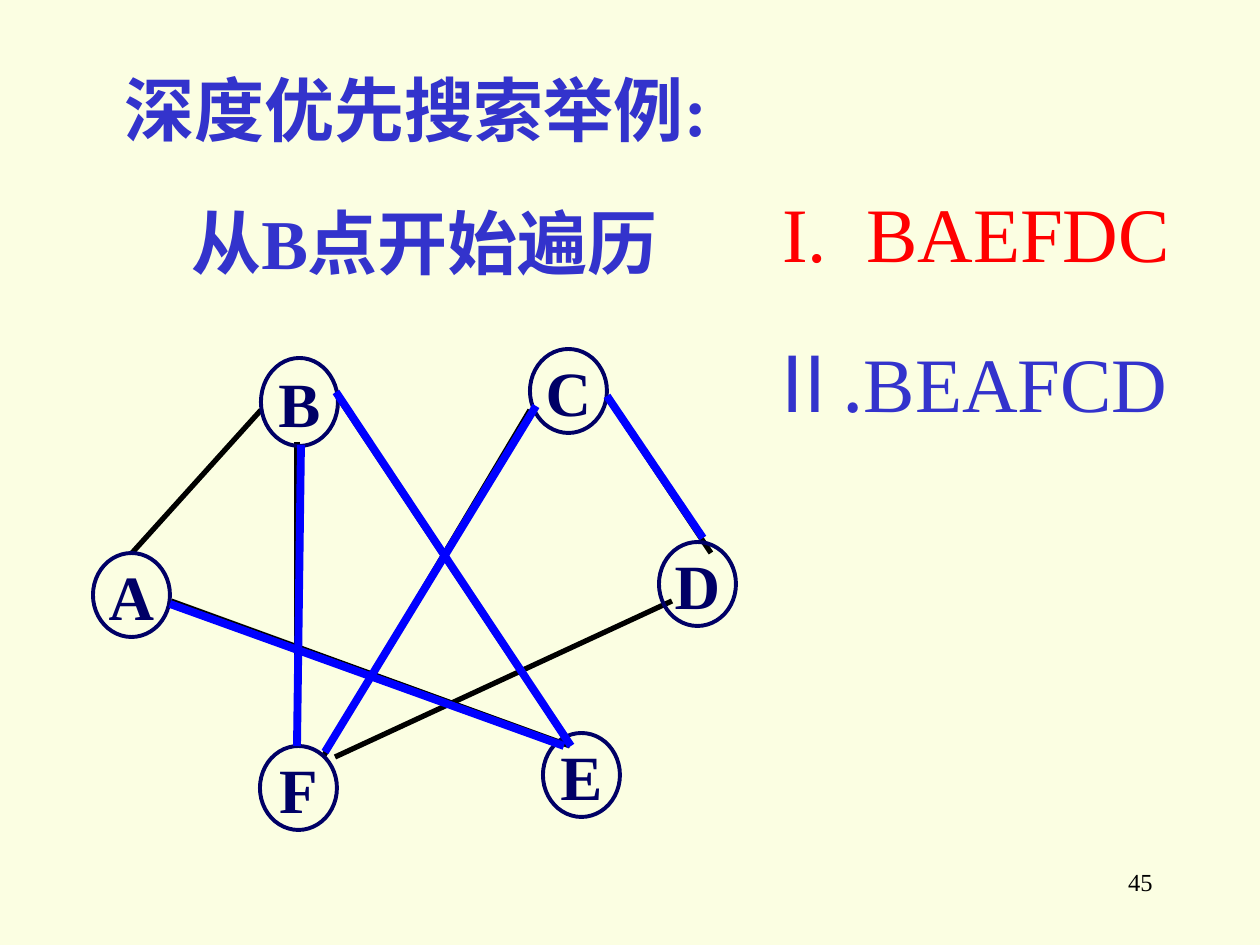
import pptx
import pptx.util
import pptx.dml.color
import pptx.enum.shapes
import pptx.enum.text
import pptx.oxml.ns
from lxml import etree

THEME = {
    "bg": "FBFEE2", "ink": "000000", "heading": "3333CC", "node": "000066",
    "visited": "0000FF", "first": "FF0000",
    "latin": "Times New Roman", "cjk": "Noto Sans CJK SC",
    "title": 40, "node_size": 36, "answer": 44, "number": 14,
    "node_line": 2.25, "edge_line": 3, "visited_line": 4.5,
}
HEADINGS = [
    ("深度优先搜索举例:", (112, 60, 805, 97)),
    ("从B点开始遍历", (179, 193, 805, 97)),
]
FIRST_ORDER = ("BAEFDC", (770, 179, 454, 106))
SECOND_ORDER = (("Ⅱ.", "BEAFCD"), (753, 329, 449, 106))
PAGE_NUMBER = ("45", (903, 861, 262, 63))
NODE_W, NODE_H = 77, 84
NODES = {
    "B": (261, 358, 88), "A": (93, 553, NODE_H), "C": (530, 349, NODE_H),
    "D": (659, 542, NODE_H), "F": (260, 746, NODE_H), "E": (543, 733, NODE_H),
}
EDGES = [
    (297, 442, 297, 746), (261, 410, 132, 553), (338, 397, 570, 746),
    (171, 601, 570, 746), (530, 410, 323, 757), (607, 397, 711, 553),
    (672, 601, 335, 757),
]
VISITED_EDGES = [
    (170, 604, 564, 746), (703, 538, 607, 396), (336, 392, 571, 746),
    (301, 445, 297, 746), (536, 406, 325, 752),
]
ALIGN = pptx.enum.text.PP_ALIGN
qn = pptx.oxml.ns.qn


def px(n):
    return pptx.util.Emu(round(n * 914400 / 126))


def rgb(name):
    return pptx.dml.color.RGBColor.from_string(THEME[name])


def add_run(p, text, size, color, bold=False, font="latin"):
    r = p.add_run()
    r.text = text
    r.font.size = pptx.util.Pt(THEME[size])
    r.font.bold = bold
    r.font.color.rgb = rgb(color)
    r.font.name = THEME[font]
    ea = etree.SubElement(r.font._element, qn("a:ea"))
    ea.set("typeface", THEME["cjk"])


def add_text(slide, box, text, align=ALIGN.LEFT, **fmt):
    sp = slide.shapes.add_textbox(*map(px, box))
    sp.text_frame.word_wrap = True
    p = sp.text_frame.paragraphs[0]
    p.alignment = align
    add_run(p, text, **fmt)
    return p


def number_roman(p, color):
    pPr = p._p.get_or_add_pPr()
    pPr.set("marL", str(px(84)))
    pPr.set("indent", str(-px(84)))
    clr = etree.SubElement(pPr, qn("a:buClr"))
    etree.SubElement(clr, qn("a:srgbClr")).set("val", THEME[color])
    etree.SubElement(pPr, qn("a:buFont")).set("typeface", THEME["latin"])
    etree.SubElement(pPr, qn("a:buAutoNum")).set("type", "romanUcPeriod")


def add_edge(slide, ends, color, width):
    kind = pptx.enum.shapes.MSO_CONNECTOR.STRAIGHT
    line = slide.shapes.add_connector(kind, *map(px, ends))
    line.line.color.rgb = rgb(color)
    line.line.width = pptx.util.Pt(THEME[width])
    etree.SubElement(line._element.spPr, qn("a:effectLst"))


def add_node(slide, name, left, top, height):
    kind = pptx.enum.shapes.MSO_SHAPE.OVAL
    sp = slide.shapes.add_shape(kind, *map(px, (left, top, NODE_W, height)))
    sp.shadow.inherit = False
    sp.fill.background()
    sp.line.color.rgb = rgb("node")
    sp.line.width = pptx.util.Pt(THEME["node_line"])
    tf = sp.text_frame
    tf.word_wrap = False
    tf.vertical_anchor = pptx.enum.text.MSO_ANCHOR.MIDDLE
    p = tf.paragraphs[0]
    p.alignment = ALIGN.CENTER
    add_run(p, name, size="node_size", color="node", bold=True)


def main():
    prs = pptx.Presentation()
    prs.slide_width, prs.slide_height = px(1260), px(945)
    slide = prs.slides.add_slide(prs.slide_layouts[6])
    slide.background.fill.solid()
    slide.background.fill.fore_color.rgb = rgb("bg")

    text, box = PAGE_NUMBER
    add_text(slide, box, text, align=ALIGN.RIGHT, size="number", color="ink")
    for text, box in HEADINGS:
        add_text(slide, box, text, size="title", color="heading", bold=True)

    for ends in EDGES:
        add_edge(slide, ends, "ink", "edge_line")
    for name, place in NODES.items():
        add_node(slide, name, *place)
    for ends in VISITED_EDGES:
        add_edge(slide, ends, "visited", "visited_line")

    (numeral, order), box = SECOND_ORDER
    p = add_text(slide, box, numeral, size="answer", color="heading", font="cjk")
    add_run(p, order, size="answer", color="heading")
    text, box = FIRST_ORDER
    p = add_text(slide, box, text, size="answer", color="first")
    number_roman(p, "first")

    prs.save("out.pptx")


if __name__ == "__main__":
    main()
